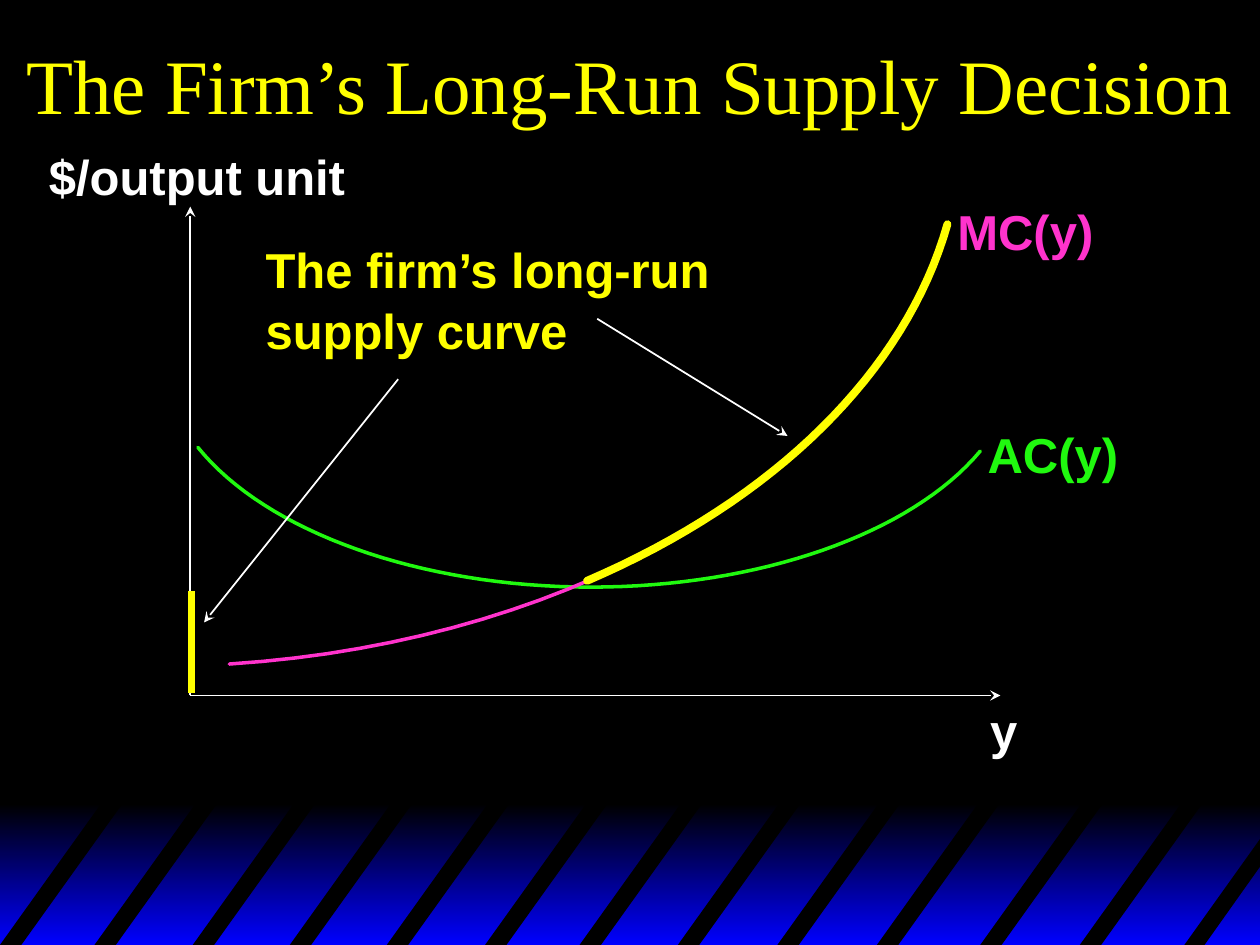
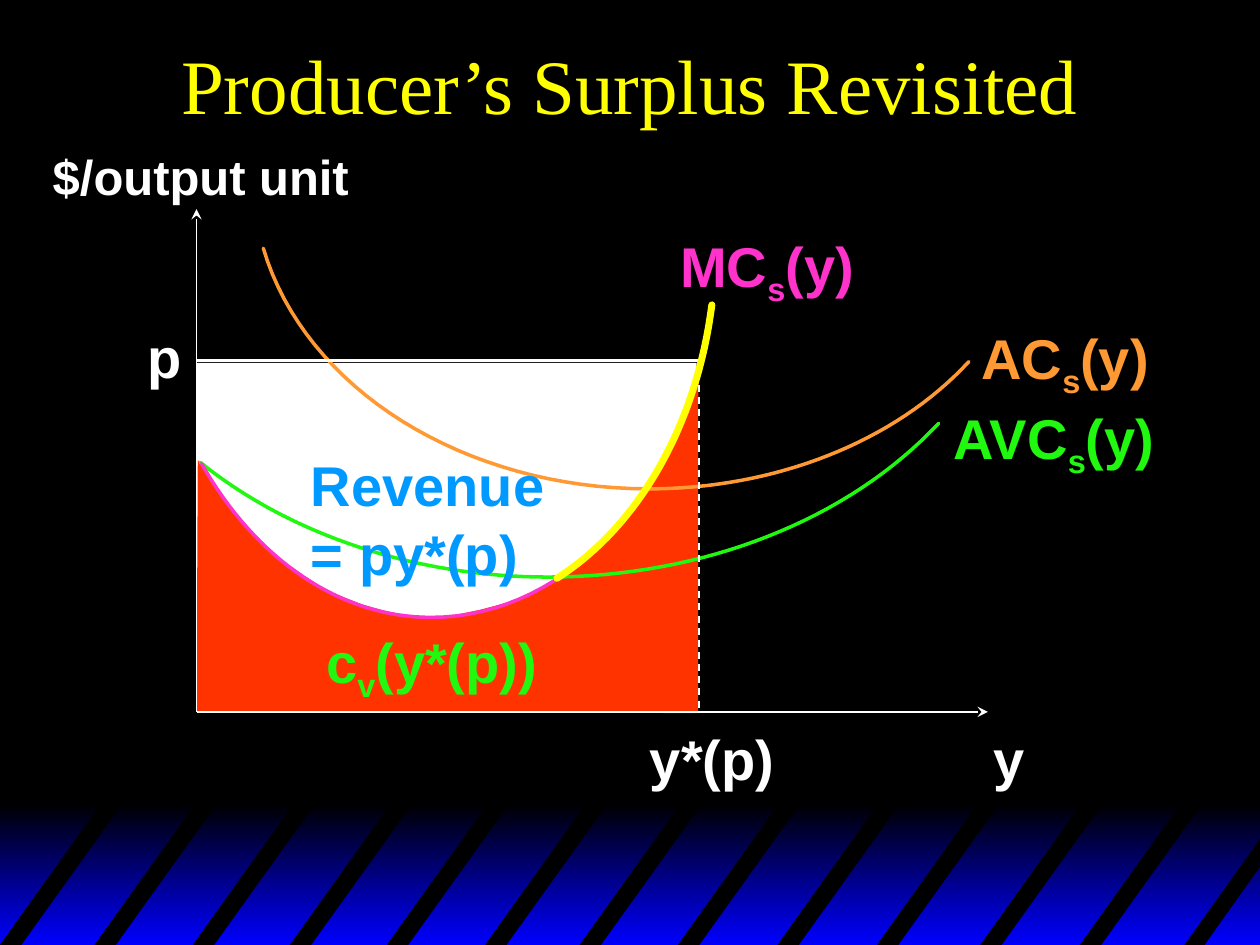
from dataclasses import dataclass
from typing import NamedTuple

from lxml import etree
from pptx import Presentation
from pptx import util as u
from pptx.dml.color import RGBColor
from pptx.enum import dml, shapes, text
from pptx.oxml.ns import qn

Point = tuple[float, float]


@dataclass(frozen=True)
class Theme:
    black: RGBColor = RGBColor(0, 0, 0)
    white: RGBColor = RGBColor(255, 255, 255)
    blue: RGBColor = RGBColor(0, 0, 255)
    yellow: RGBColor = RGBColor(255, 255, 0)
    green: RGBColor = RGBColor(0x20, 0xF9, 0x0F)
    pink: RGBColor = RGBColor(0xFF, 0x33, 0xCC)
    orange: RGBColor = RGBColor(0xFF, 0x99, 0x33)
    red: RGBColor = RGBColor(0xFF, 0x33, 0)
    sky: RGBColor = RGBColor(0, 0x99, 0xFF)
    title_font: str = "Times New Roman"
    label_font: str = "Arial"
    title_size: int = 44
    large: int = 32
    medium: int = 28


THEME = Theme()
WIDTH, HEIGHT = 10, 7.5
BAND_TOP = 6.38
STRIPE_TOP = 6.34
STRIPE_LEFTS = (0, 0.75, 1.53, 2.3, 3.07, 3.85, 4.6, 5.38, 6.17, 6.96, 7.78, 8.57)
STRIPE_WIDTH, STRIPE_SLANT = 0.17, 0.83
CURVE_STEPS = 32


class Label(NamedTuple):
    """Text box; "|" switches between normal and subscript text."""
    left: float
    top: float
    width: float
    height: float
    lines: tuple[str, ...]
    color: RGBColor = THEME.white
    size: int = THEME.medium


class Line(NamedTuple):
    start: Point
    end: Point
    color: RGBColor = THEME.white
    weight: float = 1
    arrow: bool = False
    dashed: bool = False


class Curve(NamedTuple):
    """Chain of cubic Bezier pieces: a start, then two handles and an end each."""
    color: RGBColor
    weight: float
    knots: tuple[Point, ...]


class Area(NamedTuple):
    color: RGBColor
    corners: tuple[Point, ...]


class Block(NamedTuple):
    left: float
    top: float
    width: float
    height: float
    color: RGBColor


def inches(value: float) -> u.Cm:
    return u.Cm(value * 2.54)


def assign(target, values: dict) -> None:
    for name, value in values.items():
        setattr(target, name, value)


def add_outline(page, points, closed: bool):
    first, *rest = [(inches(x), inches(y)) for x, y in points]
    builder = page.shapes.build_freeform(*first)
    builder.add_line_segments(rest, close=closed)
    outline = builder.convert_to_shape()
    outline.shadow.inherit = False
    return outline


def draw_area(page, area: Area) -> None:
    outline = add_outline(page, area.corners, True)
    outline.fill.solid()
    outline.fill.fore_color.rgb = area.color
    outline.line.fill.background()


def add_rectangle(page, left: float, top: float, width: float, height: float):
    box = page.shapes.add_shape(
        shapes.MSO_SHAPE.RECTANGLE, *map(inches, (left, top, width, height)))
    box.shadow.inherit = False
    box.line.fill.background()
    return box


def draw_block(page, block: Block) -> None:
    box = add_rectangle(page, *block[:4])
    box.fill.solid()
    box.fill.fore_color.rgb = block.color


def set_line(shape, color: RGBColor, weight: float):
    shape.line.color.rgb = color
    shape.line.width = u.Pt(weight)
    return shape._element.spPr.find(qn("a:ln"))


def bezier(p0: Point, p1: Point, p2: Point, p3: Point, t: float) -> Point:
    s = 1 - t
    x, y = (s**3 * a + 3 * s * s * t * b + 3 * s * t * t * c + t**3 * d
            for a, b, c, d in zip(p0, p1, p2, p3))
    return x, y


def draw_curve(page, curve: Curve) -> None:
    points = [curve.knots[0]]
    for i in range(0, len(curve.knots) - 1, 3):
        piece = curve.knots[i:i + 4]
        points += [bezier(*piece, step / CURVE_STEPS)
                   for step in range(1, CURVE_STEPS + 1)]
    outline = add_outline(page, points, False)
    outline.fill.background()
    set_line(outline, curve.color, curve.weight).set("cap", "rnd")


def draw_line(page, line: Line) -> None:
    connector = page.shapes.add_connector(
        shapes.MSO_CONNECTOR.STRAIGHT, *map(inches, line.start + line.end))
    ln = set_line(connector, line.color, line.weight)
    if line.dashed:
        connector.line.dash_style = dml.MSO_LINE.DASH
    if line.arrow:
        etree.SubElement(ln, qn("a:tailEnd"), type="stealth")
    etree.SubElement(connector._element.spPr, qn("a:effectLst"))


def draw_label(page, label: Label) -> None:
    box = page.shapes.add_textbox(*map(inches, label[:4]))
    box.text_frame.word_wrap = False
    for number, line in enumerate(label.lines):
        para = box.text_frame.paragraphs[0] if number == 0 else box.text_frame.add_paragraph()
        para.line_spacing = 1.03 if len(label.lines) > 1 else 1.0
        for position, piece in enumerate(line.split("|")):
            span = para.add_run()
            span.text = piece
            assign(span.font, {"name": THEME.label_font, "size": u.Pt(label.size), "bold": True})
            span.font.color.rgb = label.color
            if position % 2:
                span._r.get_or_add_rPr().set("baseline", "-25000")


def draw_title(page, title: str) -> None:
    box = page.shapes.add_textbox(0, 0, inches(WIDTH), inches(1.33))
    assign(box.text_frame, {"word_wrap": True, "vertical_anchor": text.MSO_ANCHOR.MIDDLE})
    para = box.text_frame.paragraphs[0]
    para.alignment = text.PP_ALIGN.CENTER
    span = para.add_run()
    span.text = title
    assign(span.font, {"name": THEME.title_font, "size": u.Pt(THEME.title_size)})
    span.font.color.rgb = THEME.yellow


def draw_striped_band(page) -> None:
    band = add_rectangle(page, 0, BAND_TOP, WIDTH, HEIGHT - BAND_TOP)
    band.fill.gradient()
    band.fill.gradient_angle = 270
    for stop, color in zip(band.fill.gradient_stops, (THEME.black, THEME.blue)):
        stop.color.rgb = color
    for left in STRIPE_LEFTS:
        top_left = left + STRIPE_SLANT
        draw_area(page, Area(THEME.black, (
            (left, HEIGHT), (top_left, STRIPE_TOP),
            (top_left + STRIPE_WIDTH, STRIPE_TOP), (left + STRIPE_WIDTH, HEIGHT))))
    draw_area(page, Area(THEME.black, (
        (9.4, HEIGHT), (WIDTH, 6.66), (WIDTH, 6.88), (9.56, HEIGHT))))


def axes(origin: Point, top: float, right: float) -> list[Line]:
    x, y = origin
    return [Line(origin, (x, top), arrow=True), Line(origin, (right, y), arrow=True)]


DRAW = {Label: draw_label, Line: draw_line, Curve: draw_curve,
        Area: draw_area, Block: draw_block}


def add_page(deck, title: str, items: list) -> None:
    page = deck.slides.add_slide(deck.slide_layouts[6])
    draw_striped_band(page)
    draw_title(page, title)
    for item in items:
        DRAW[type(item)](page, item)


SUPPLY_DECISION = [
    *axes((1.51, 5.52), 1.64, 7.94),
    Curve(THEME.green, 2, ((7.78, 3.58), (7.23, 4.24), (6.02, 4.66), (4.69, 4.66),
                           (3.33, 4.66), (2.11, 4.22), (1.57, 3.55))),
    Curve(THEME.pink, 2, ((7.51, 1.79), (6.97, 3.67), (4.65, 5.09), (1.82, 5.27))),
    Label(7.5, 1.55, 1.28, 0.57, ("MC(y)",), THEME.pink),
    Label(7.74, 3.32, 1.24, 0.57, ("AC(y)",), THEME.green),
    Label(7.76, 5.51, 0.42, 0.57, ("y",)),
    Label(0.29, 1.11, 2.55, 0.57, ("$/output unit",)),
    Curve(THEME.yellow, 4.5, ((7.52, 1.78), (7.19, 2.95), (6.15, 3.97), (4.66, 4.61))),
    Label(2.01, 1.84, 3.74, 1.04, ("The firm’s long-run", "supply curve"), THEME.yellow),
    Line((4.74, 2.53), (6.25, 3.46), arrow=True),
    Line((1.52, 4.69), (1.52, 5.5), THEME.yellow, 4.5),
    Line((3.16, 3.01), (1.62, 4.94), arrow=True),
]

VARIABLE_COST = Area(THEME.red, (
    (1.57, 3.65), (1.72, 3.88), (1.82, 4.02), (1.95, 4.18), (2.07, 4.3), (2.24, 4.45),
    (2.43, 4.58), (2.6, 4.69), (2.88, 4.8), (3.06, 4.85), (3.25, 4.89), (3.43, 4.9),
    (3.62, 4.88), (3.81, 4.84), (4, 4.79), (4.18, 4.73), (4.45, 4.57), (4.68, 4.4),
    (4.85, 4.23), (5.06, 3.95), (5.19, 3.77), (5.34, 3.49), (5.48, 3.14), (5.55, 2.86),
    (5.54, 3.24), (5.54, 5.66), (1.56, 5.65)))

PRODUCER_SURPLUS = [
    Block(1.56, 2.88, 3.97, 2.76, THEME.white),
    VARIABLE_COST,
    *axes((1.56, 5.65), 1.66, 7.84),
    Label(7.79, 5.7, 0.45, 0.63, ("y",), size=THEME.large),
    Label(0.32, 1.11, 2.55, 0.57, ("$/output unit",)),
    Curve(THEME.orange, 2, ((7.69, 2.87), (7.1, 3.51), (6.15, 3.88), (5.15, 3.88),
                            (3.69, 3.88), (2.42, 3.09), (2.09, 1.97))),
    Curve(THEME.green, 2, ((7.45, 3.36), (6.73, 4.13), (5.58, 4.58), (4.35, 4.58),
                           (3.31, 4.58), (2.31, 4.25), (1.59, 3.67))),
    Label(7.47, 3.15, 1.83, 0.71, ("AVC|s|(y)",), THEME.green, THEME.large),
    Label(7.69, 2.52, 1.53, 0.71, ("AC|s|(y)",), THEME.orange, THEME.large),
    Label(5.3, 1.79, 1.58, 0.71, ("MC|s|(y)",), THEME.pink, THEME.large),
    Line((1.56, 2.86), (5.55, 2.86), weight=2),
    Line((5.55, 2.86), (5.55, 5.65), dashed=True),
    Label(1.07, 2.51, 0.47, 0.63, ("p",), size=THEME.large),
    Label(5.06, 5.7, 1.19, 0.63, ("y*(p)",), size=THEME.large),
    Curve(THEME.pink, 2, ((5.65, 2.42), (5.47, 3.85), (4.53, 4.9), (3.42, 4.9),
                          (2.7, 4.9), (2.03, 4.44), (1.6, 3.68))),
    Curve(THEME.yellow, 4, ((5.65, 2.42), (5.53, 3.36), (5.08, 4.17), (4.42, 4.59))),
    Label(2.37, 3.51, 2.06, 1.17, ("Revenue", "= py*(p)"), THEME.sky, THEME.large),
    Label(2.49, 4.93, 1.88, 0.71, ("c|v|(y*(p))",), THEME.green, THEME.large),
]


def main() -> None:
    deck = Presentation()
    assign(deck, {"slide_width": inches(WIDTH), "slide_height": inches(HEIGHT)})
    backdrop = deck.slide_master.background.fill
    backdrop.solid()
    backdrop.fore_color.rgb = THEME.black
    add_page(deck, "The Firm’s Long-Run Supply Decision", SUPPLY_DECISION)
    add_page(deck, "Producer’s Surplus Revisited", PRODUCER_SURPLUS)
    deck.save("out.pptx")


if __name__ == "__main__":
    main()
